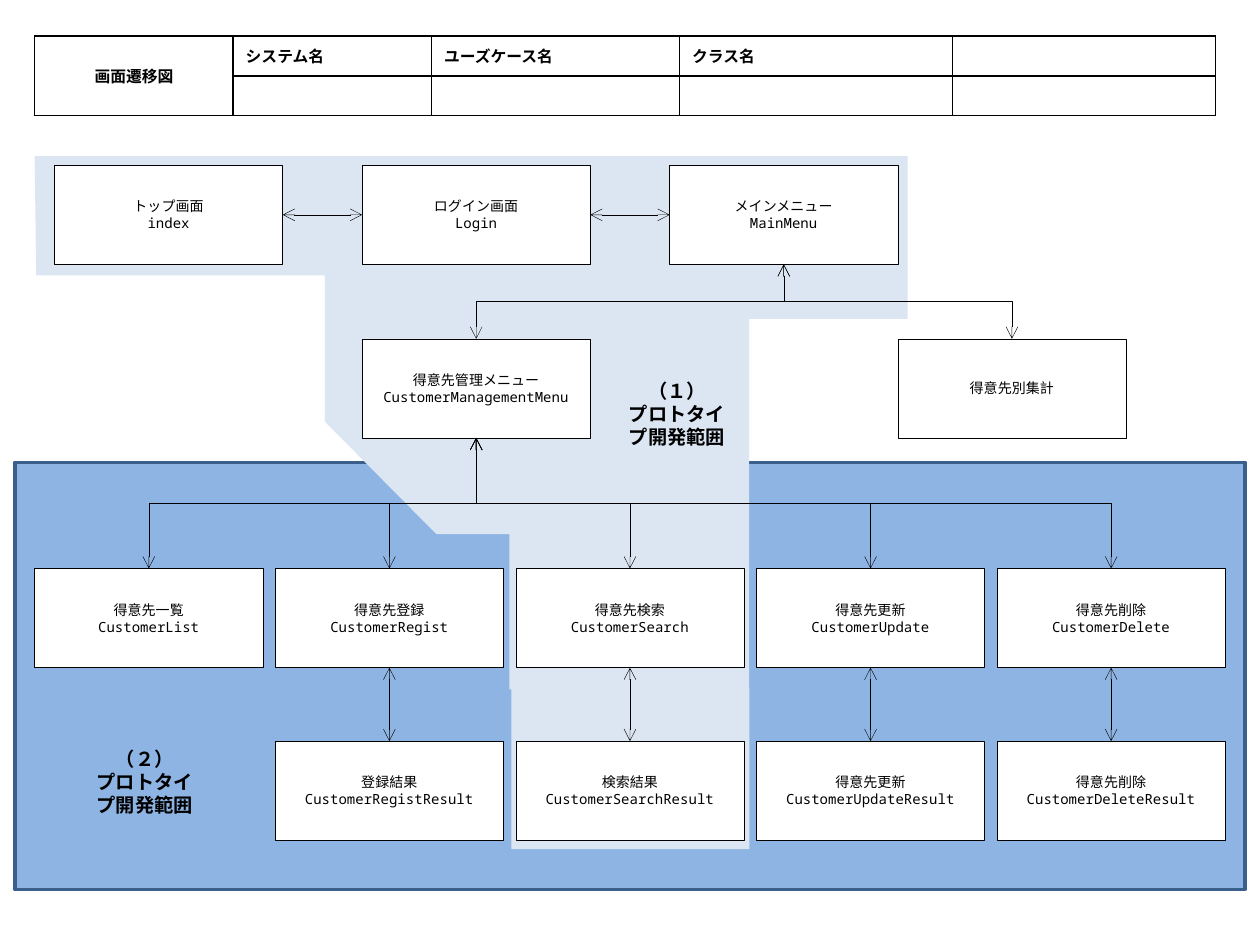
from lxml import etree
from pptx import Presentation
from pptx import util as u
from pptx.dml.color import RGBColor
from pptx.enum import shapes, text
from pptx.oxml import ns

Cm, Pt = u.Cm, u.Pt
COLORS = {"ink": "000000", "box": "FFFFFF", "scope1": "DCE6F2",
          "scope2": "8EB4E3", "scope2_line": "3A5F8C"}
JP, MONO, LATIN = "Noto Sans CJK JP", "Noto Sans Mono", "Calibri"
BOX_W, BOX_H = 4.6, 2.0
TOP_Y, MENU_Y, ACTION_Y, RESULT_Y = 3.33, 6.83, 11.46, 14.94
TOP_X = [1.1 + 6.2 * i for i in range(3)]
GRID_X = [0.7 + 4.85 * i for i in range(5)]
SUMMARY_X = 18.1

TOP_SCREENS = [("トップ画面", "index"), ("ログイン画面", "Login"),
               ("メインメニュー", "MainMenu")]
ACTIONS = [("得意先一覧", "CustomerList"), ("得意先登録", "CustomerRegist"),
           ("得意先検索", "CustomerSearch"), ("得意先更新", "CustomerUpdate"),
           ("得意先削除", "CustomerDelete")]
RESULTS = [("登録結果", "CustomerRegistResult"), ("検索結果", "CustomerSearchResult"),
           ("得意先更新", "CustomerUpdateResult"), ("得意先削除", "CustomerDeleteResult")]
HEADINGS = ["画面遷移図", "システム名", "ユーズケース名", "クラス名"]
COL_WIDTHS = [4, 4, 5, 5.5, 5.3]
SCOPE1_OUTLINE = [(0.7, 3.15), (18.3, 3.15), (18.3, 6.43), (15.1, 6.43),
                  (15.1, 13.9), (10.27, 13.9), (10.27, 10.77), (8.8, 10.77),
                  (6.55, 8.5), (6.55, 5.55), (0.73, 5.55)]


def rgb(name):
    return RGBColor.from_string(COLORS[name])


def add_run(p, content, size, font, bold=False):
    r = p.add_run()
    r.text = content
    r.font.size = Pt(size)
    r.font.bold = bold
    r.font.name = font
    r.font.color.rgb = rgb("ink")
    latin = r.font._element.find(ns.qn("a:latin"))
    ea = etree.Element(ns.qn("a:ea"), typeface=JP)
    latin.addnext(ea)


def add_lines(tf, lines, size, bold=False):
    for i, (content, font) in enumerate(lines):
        p = tf.paragraphs[0] if i == 0 else tf.add_paragraph()
        p.alignment = text.PP_ALIGN.CENTER
        add_run(p, content, size, font, bold)


def style(sp, fill, line=None, width=0.25):
    sp.shadow.inherit = False
    sp.fill.solid()
    sp.fill.fore_color.rgb = rgb(fill)
    if line:
        sp.line.color.rgb = rgb(line)
        sp.line.width = Pt(width)
    else:
        sp.line.fill.background()


def add_rect(parent, x, y, w, h, *look):
    sp = parent.add_shape(shapes.MSO_SHAPE.RECTANGLE, Cm(x), Cm(y), Cm(w), Cm(h))
    style(sp, *look)
    return sp


def add_screen(s, x, y, title, name=None):
    sp = add_rect(s.shapes, x, y, BOX_W, BOX_H, "box", "ink")
    tf = sp.text_frame
    tf.word_wrap = True
    tf.vertical_anchor = text.MSO_ANCHOR.MIDDLE
    lines = [(title, JP)] + ([(name, MONO)] if name else [])
    add_lines(tf, lines, 8)
    return sp


def add_scope_label(s, x, y, number):
    tf = s.shapes.add_textbox(Cm(x), Cm(y), Cm(2.7), Cm(1.68)).text_frame
    tf.word_wrap = True
    add_lines(tf, [(number, LATIN), ("プロトタイプ開発範囲", LATIN)], 11, True)


def add_scopes(s):
    add_rect(s.shapes, 0.3, 9.32, 24.8, 8.61, "scope2", "scope2_line", 2)
    group = s.shapes.add_group_shape()
    add_rect(group.shapes, 10.31, 13.89, 4.8, 3.23, "scope1")
    points = [(Cm(x), Cm(y)) for x, y in SCOPE1_OUTLINE]
    builder = group.shapes.build_freeform(*points[0])
    builder.add_line_segments(points[1:], close=True)
    style(builder.convert_to_shape(), "scope1")


def style_link(c):
    c.line.color.rgb = rgb("ink")
    c.line.width = Pt(0.25)
    ln = c.line._get_or_add_ln()
    for end in ("a:headEnd", "a:tailEnd"):
        etree.SubElement(ln, ns.qn(end), type="arrow")
    etree.SubElement(c._element.spPr, ns.qn("a:effectLst"))


def link_straight(s, start, start_site, target, target_site):
    c = s.shapes.add_connector(shapes.MSO_CONNECTOR.STRAIGHT, 0, 0, 0, 0)
    c.begin_connect(start, start_site)
    c.end_connect(target, target_site)
    style_link(c)


def link_down(s, parent, child):
    x1, y1 = parent.left + parent.width // 2, parent.top + parent.height
    x2, y2 = child.left + child.width // 2, child.top
    mid_x, mid_y = (x1 + x2) // 2, (y1 + y2) // 2
    half_drop, half_span = (y2 - y1) // 2, abs(x2 - x1) // 2
    side = 1 if x2 < x1 else -1
    c = s.shapes.add_connector(
        shapes.MSO_CONNECTOR.ELBOW,
        mid_x - side * half_drop, mid_y - half_span,
        mid_x + side * half_drop, mid_y + half_span)
    turn = 90 if side == 1 else 270
    c._element.spPr.find(ns.qn("a:xfrm")).set("rot", str(turn * 60000))
    style_link(c)


def style_cell(cell):
    tcPr = cell._tc.get_or_add_tcPr()
    for edge in ("a:lnL", "a:lnR", "a:lnT", "a:lnB"):
        ln = etree.SubElement(tcPr, ns.qn(edge), w=str(Pt(1)))
        fill = etree.SubElement(ln, ns.qn("a:solidFill"))
        etree.SubElement(fill, ns.qn("a:srgbClr"), val=COLORS["ink"])
    cell.fill.background()
    cell.vertical_anchor = text.MSO_ANCHOR.MIDDLE


def add_header(s):
    frame = s.shapes.add_table(2, len(COL_WIDTHS), Cm(0.7), Cm(0.73),
                               Cm(sum(COL_WIDTHS)), Cm(1.6))
    table = frame.table
    table.first_row = table.horz_banding = False
    for column, width in zip(table.columns, COL_WIDTHS):
        column.width = Cm(width)
    for row in table.rows:
        row.height = Cm(0.8)
    table.cell(0, 0).merge(table.cell(1, 0))
    for i, cell in enumerate(table.iter_cells()):
        style_cell(cell)
        p = cell.text_frame.paragraphs[0]
        if i < len(HEADINGS):
            add_run(p, HEADINGS[i], 9, JP, True)
        else:
            etree.SubElement(p._p, ns.qn("a:endParaRPr"), sz="900")
    table.cell(0, 0).text_frame.paragraphs[0].alignment = text.PP_ALIGN.CENTER


def main():
    prs = Presentation()
    prs.slide_width, prs.slide_height = Cm(25.4), Cm(19.05)
    s = prs.slides.add_slide(prs.slide_layouts[6])
    add_scopes(s)
    add_header(s)

    top = [add_screen(s, x, TOP_Y, *names) for x, names in zip(TOP_X, TOP_SCREENS)]
    menu = add_screen(s, TOP_X[1], MENU_Y, "得意先管理メニュー", "CustomerManagementMenu")
    summary = add_screen(s, SUMMARY_X, MENU_Y, "得意先別集計")
    actions = [add_screen(s, x, ACTION_Y, *names) for x, names in zip(GRID_X, ACTIONS)]
    results = [add_screen(s, x, RESULT_Y, *names)
               for x, names in zip(GRID_X[1:], RESULTS)]

    for left, right in zip(top, top[1:]):
        link_straight(s, left, 3, right, 1)
    for action, result in zip(actions[1:], results):
        link_straight(s, action, 2, result, 0)
    for child in (menu, summary):
        link_down(s, top[2], child)
    for action in actions:
        link_down(s, menu, action)

    add_scope_label(s, 12.3, 7.52, "（１）")
    add_scope_label(s, 1.57, 14.94, "（２）")
    prs.save("out.pptx")


if __name__ == "__main__":
    main()
